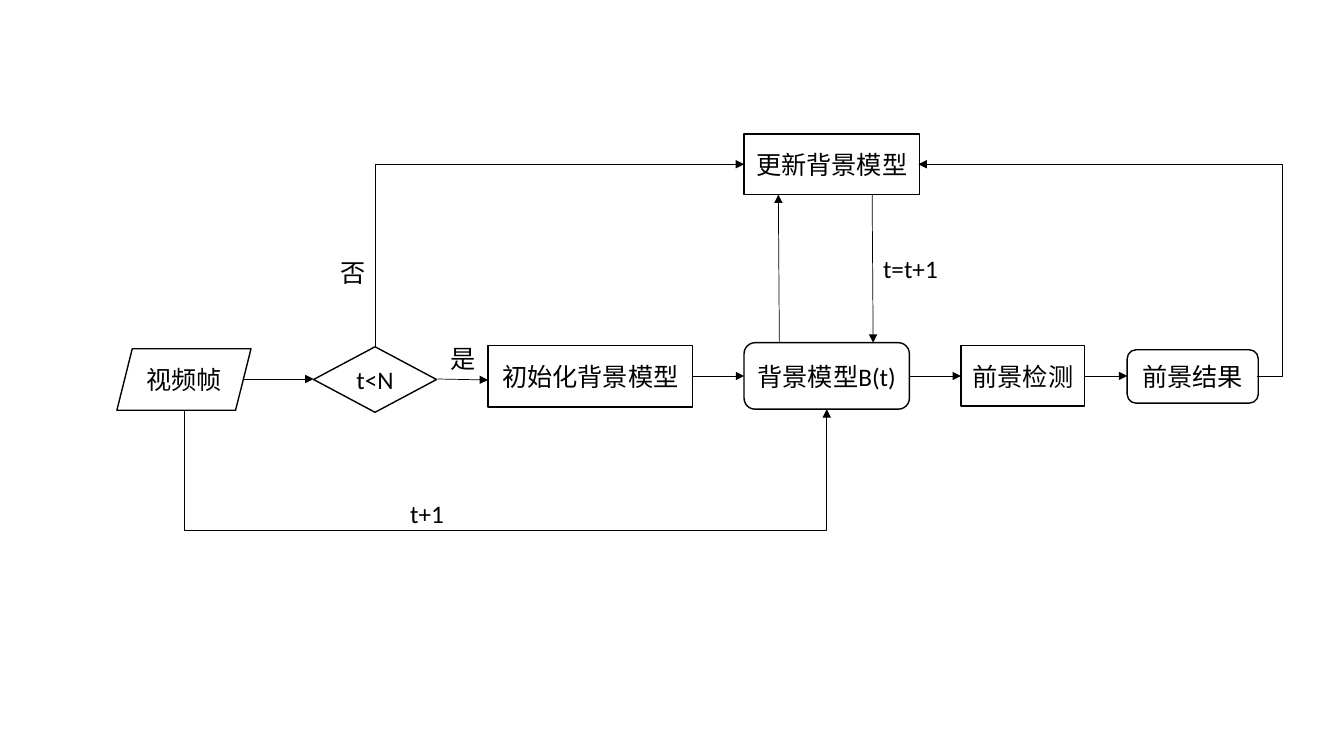
from dataclasses import dataclass

from lxml.etree import SubElement
from pptx import Presentation
from pptx.dml.color import RGBColor
from pptx.enum.shapes import MSO_CONNECTOR as Link, MSO_SHAPE as Form
from pptx.enum.text import MSO_ANCHOR as Anchor, MSO_AUTO_SIZE as Fit, PP_ALIGN as Align
from pptx.oxml.ns import qn
from pptx.util import Inches, Pt


@dataclass(frozen=True)
class Theme:
    ink: RGBColor = RGBColor(0, 0, 0)
    paper: RGBColor = RGBColor(255, 255, 255)
    font: str = "Calibri"
    size: Pt = Pt(18)
    edge: Pt = Pt(1)
    wire: Pt = Pt(0.5)


THEME = Theme()
ROW = 3.73  # centre line of the main flow
TOP = 1.63  # centre line of the update step


def write(frame, text, align):
    para = frame.paragraphs[0]
    para.alignment = align
    run = para.add_run()
    run.text = text
    run.font.name = THEME.font
    run.font.size = THEME.size
    run.font.color.rgb = THEME.ink


def add_node(slide, form, text, *box):
    node = slide.shapes.add_shape(form, *map(Inches, box))
    node.shadow.inherit = False
    node.fill.solid()
    node.fill.fore_color.rgb = THEME.paper
    node.line.color.rgb = THEME.ink
    node.line.width = THEME.edge
    frame = node.text_frame
    frame.word_wrap = True
    frame.vertical_anchor = Anchor.MIDDLE
    write(frame, text, Align.CENTER)


def add_label(slide, text, *box):
    frame = slide.shapes.add_textbox(*map(Inches, box)).text_frame
    frame.word_wrap = False
    frame.auto_size = Fit.SHAPE_TO_FIT_TEXT
    write(frame, text, Align.LEFT)


def add_arrow(slide, start, end, kind=Link.STRAIGHT):
    arrow = slide.shapes.add_connector(kind, *map(Inches, start + end))
    arrow.line.color.rgb = THEME.ink
    arrow.line.width = THEME.wire
    SubElement(arrow.line._get_or_add_ln(), qn("a:tailEnd"), type="triangle")
    SubElement(arrow._element.spPr, qn("a:effectLst"))
    return arrow


def add_elbow(slide, start, end, out=None, turn=False):
    """Bent arrow; out is how far it swings past its start before turning."""
    (x1, y1), (x2, y2) = start, end
    wide, high = abs(x2 - x1), abs(y2 - y1)
    if turn:
        wide, high = high, wide
    # Draw from lower right to upper left, then turn about the centre
    mid_x, mid_y = (x1 + x2) / 2, (y1 + y2) / 2
    arrow = add_arrow(slide, (mid_x + wide / 2, mid_y + high / 2),
                      (mid_x - wide / 2, mid_y - high / 2), Link.ELBOW)
    props = arrow._element.spPr
    if turn:
        props.find(qn("a:xfrm")).set("rot", str(90 * 60000))
    shape = props.find(qn("a:prstGeom"))
    if out is None:
        shape.set("prst", "bentConnector2")
    else:
        guides = shape.find(qn("a:avLst"))
        SubElement(guides, qn("a:gd"), name="adj1",
                   fmla=f"val {round(-out / wide * 100000)}")


def main():
    deck = Presentation()
    deck.slide_width, deck.slide_height = Inches(13.33), Inches(7.5)
    slide = deck.slides.add_slide(deck.slide_layouts[6])

    # Steps of the flow
    for node in (
        (Form.PARALLELOGRAM, "视频帧", 1.16, 3.46, 1.33, 0.61),
        (Form.FLOWCHART_DECISION, "t<N", 3.11, 3.44, 1.22, 0.65),
        (Form.RECTANGLE, "初始化背景模型", 4.84, 3.43, 2.03, 0.61),
        (Form.RECTANGLE, "更新背景模型", 7.38, 1.33, 1.74, 0.6),
        (Form.ROUNDED_RECTANGLE, "背景模型B(t)", 7.38, 3.4, 1.64, 0.66),
        (Form.RECTANGLE, "前景检测", 9.53, 3.43, 1.23, 0.6),
        (Form.ROUNDED_RECTANGLE, "前景结果", 11.18, 3.47, 1.3, 0.53),
    ):
        add_node(slide, *node)

    # Straight arrows: along the row, then between the two models
    for start, end in (
        ((2.42, 3.76), (3.11, 3.76)),
        ((4.34, 3.76), (4.84, 3.77)),
        ((6.86, ROW), (7.38, ROW)),
        ((9.02, ROW), (9.53, ROW)),
        ((10.76, ROW), (11.18, ROW)),
        ((7.73, 3.4), (7.72, 1.93)),
        ((8.65, 1.93), (8.66, 3.4)),
    ):
        add_arrow(slide, start, end)

    # Bent arrows: next frame, feedback, and the "no" branch
    add_elbow(slide, (1.83, 4.07), (8.2, 4.06), out=1.21, turn=True)
    add_elbow(slide, (12.47, ROW), (9.11, TOP), out=0.25)
    add_elbow(slide, (3.72, 3.44), (7.38, TOP), turn=True)

    # Arrow labels
    for label in (
        ("是", 4.37, 3.36, 0.45, 0.4),
        ("t+1", 3.97, 4.89, 0.54, 0.4),
        ("否", 3.28, 2.5, 0.45, 0.4),
        ("t=t+1", 8.66, 2.46, 0.75, 0.4),
    ):
        add_label(slide, *label)

    deck.save("out.pptx")


if __name__ == "__main__":
    main()
